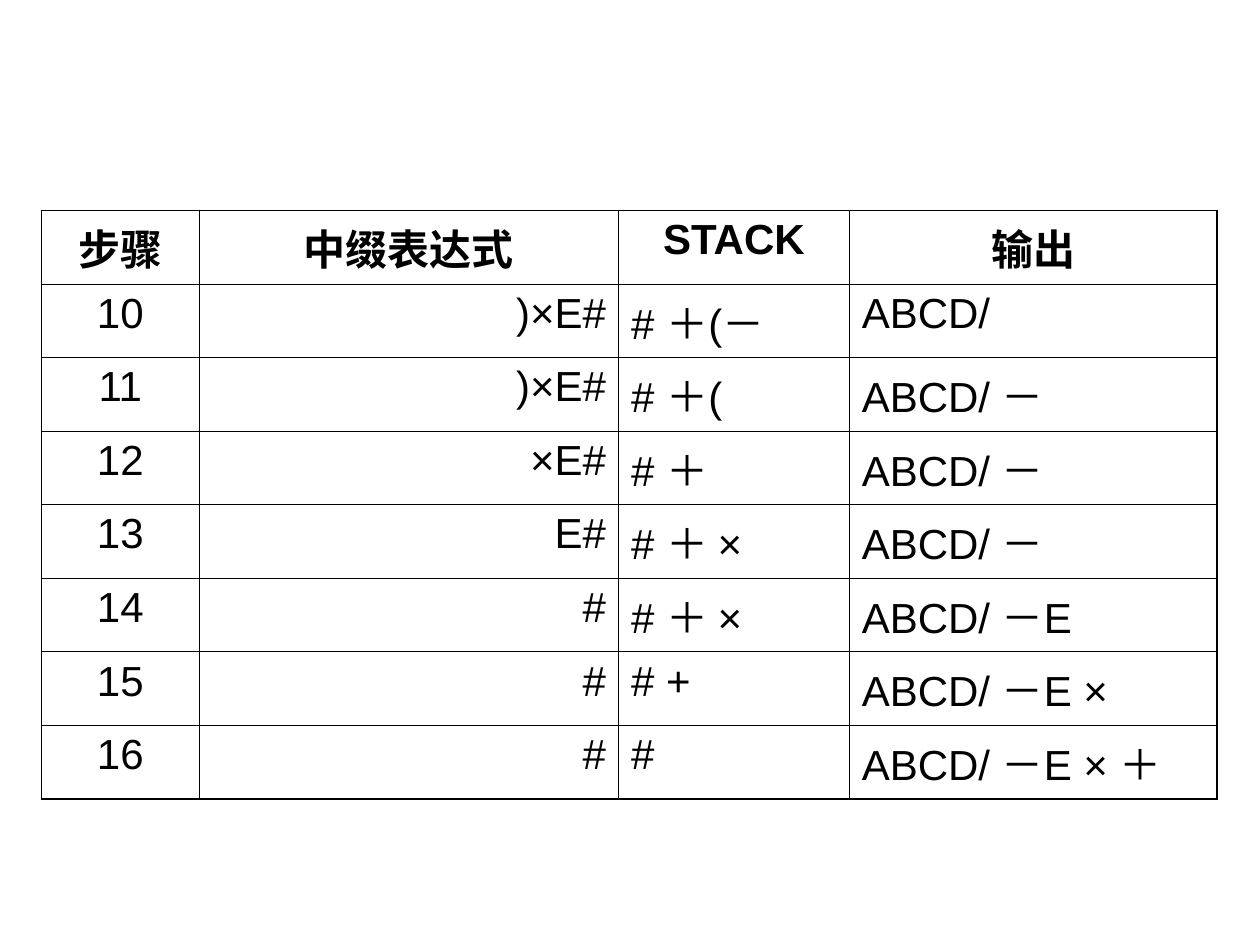
import pptx
import pptx.dml.color
import pptx.enum.text
import pptx.oxml.ns
import pptx.util
from lxml import etree

Inches = pptx.util.Inches
Pt = pptx.util.Pt
ALIGN = pptx.enum.text.PP_ALIGN


def rgb(value):
    return pptx.dml.color.RGBColor.from_string(value)


class Deck:
    font = "Arial"
    size = 24
    ink = "000000"
    thin = 0.45
    thick = 1.08

    def __init__(self, width, height):
        self.prs = pptx.Presentation()
        self.prs.slide_width = Inches(width)
        self.prs.slide_height = Inches(height)
        self.slide = self.prs.slides.add_slide(self.prs.slide_layouts[6])

    def borders(self, cell, widths):
        tc_pr = cell._tc.get_or_add_tcPr()
        for i, (side, width) in enumerate(widths.items()):
            ln = etree.Element(pptx.oxml.ns.qn("a:ln" + side), w=str(Pt(width)))
            fill = etree.SubElement(ln, pptx.oxml.ns.qn("a:solidFill"))
            etree.SubElement(fill, pptx.oxml.ns.qn("a:srgbClr"), val=self.ink)
            tc_pr.insert(i, ln)

    def cell(self, cell, text, align, bold):
        cell.fill.background()
        p = cell.text_frame.paragraphs[0]
        p.text = text
        p.alignment = align
        p.font.name = self.font
        p.font.size = Pt(self.size)
        p.font.bold = bold
        p.font.color.rgb = rgb(self.ink)

    def table(self, left, top, col_widths, row_height, rows, aligns, thin_top):
        last_row, last_col = len(rows) - 1, len(col_widths) - 1
        frame = self.slide.shapes.add_table(
            len(rows), len(col_widths), Inches(left), Inches(top),
            Inches(sum(col_widths)), Inches(row_height * len(rows)))
        table = frame.table
        table.first_row = table.horz_banding = False
        for column, width in zip(table.columns, col_widths):
            column.width = Inches(width)
        for r, row in enumerate(rows):
            table.rows[r].height = Inches(row_height)
            for c, text in enumerate(row):
                cell = table.cell(r, c)
                header = r == 0
                self.cell(cell, text, ALIGN.CENTER if header else aligns[c], header)
                outer = {"L": c == 0, "R": c == last_col,
                         "T": header and c != thin_top, "B": r == last_row}
                self.borders(cell, {side: self.thick if edge else self.thin
                                    for side, edge in outer.items()})

    def save(self):
        self.prs.save("out.pptx")


def main():
    steps = [
        ("步骤", "中缀表达式", "STACK", "输出"),
        ("10", ")×E#", "# ＋(－", "ABCD/"),
        ("11", ")×E#", "# ＋(", "ABCD/ －"),
        ("12", "×E#", "# ＋", "ABCD/ －"),
        ("13", "E#", "# ＋ ×", "ABCD/ －"),
        ("14", "#", "# ＋ ×", "ABCD/ －E"),
        ("15", "#", "# +", "ABCD/ －E ×"),
        ("16", "#", "#", "ABCD/ －E × ＋"),
    ]
    deck = Deck(10, 7.5)
    deck.table(0.33, 1.67, [1.25, 3.33, 1.83, 2.92], 0.5, steps,
               [ALIGN.CENTER, ALIGN.RIGHT, ALIGN.LEFT, ALIGN.LEFT], thin_top=2)
    deck.save()


if __name__ == "__main__":
    main()
